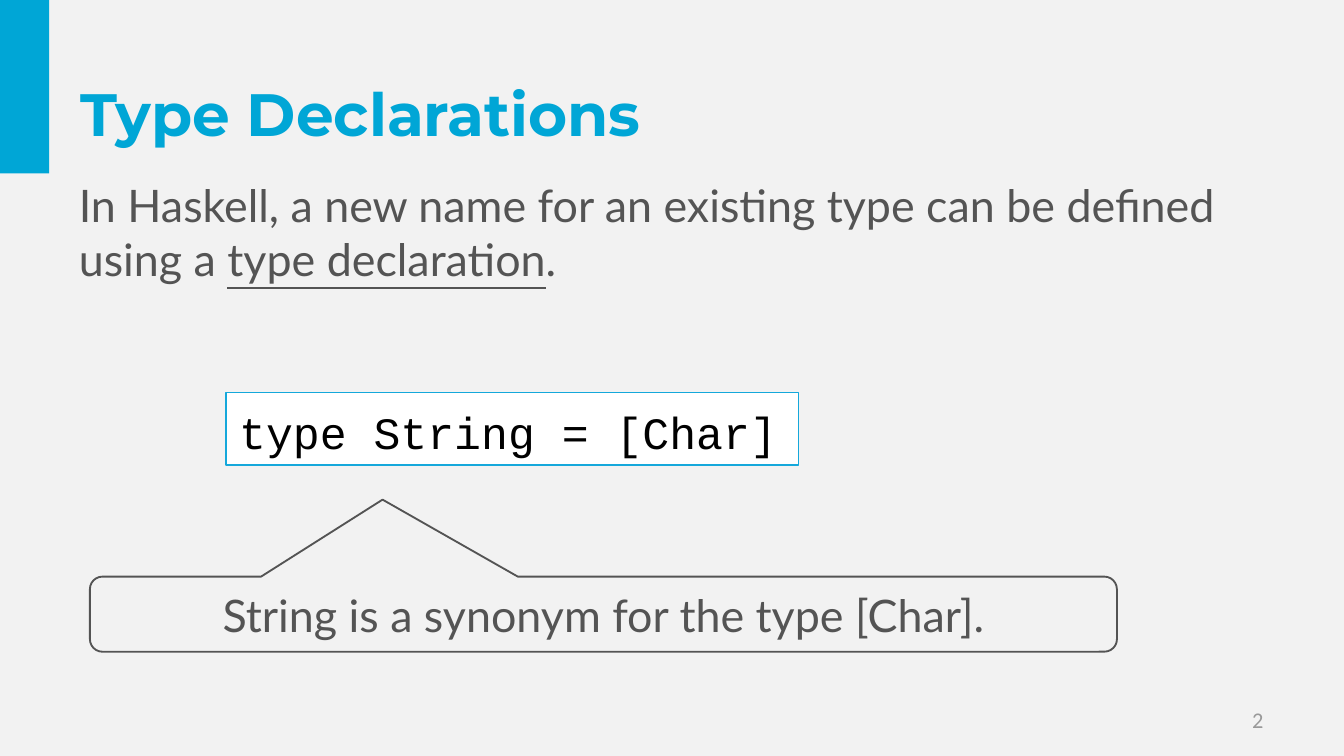
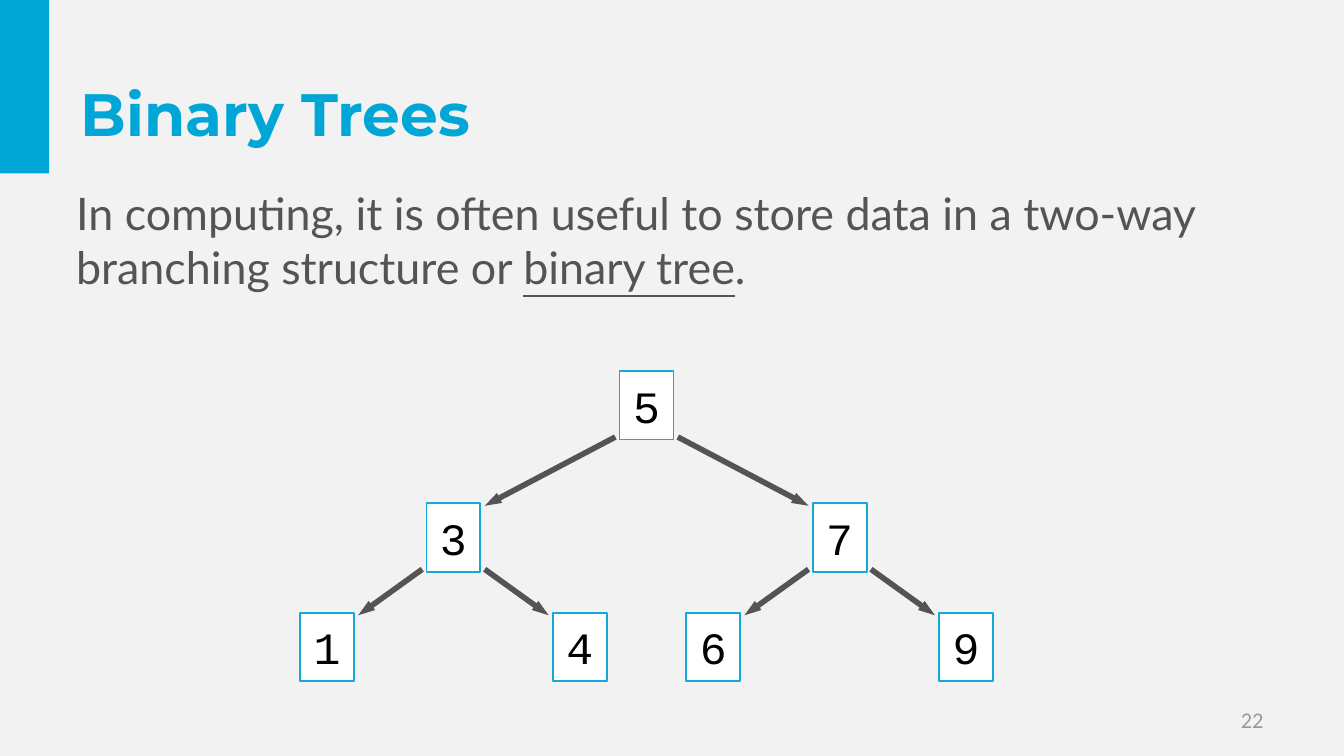
from lxml.etree import SubElement
from pptx import Presentation
from pptx.dml.color import RGBColor
from pptx.enum.shapes import MSO_CONNECTOR, MSO_SHAPE
from pptx.enum.text import MSO_ANCHOR, MSO_AUTO_SIZE, PP_ALIGN
from pptx.oxml.ns import qn
from pptx.util import Cm, Pt

CYAN, BORDER, GREY, PALE = "00A6D6", "15A8DB", "545454", "999999"
BACK, WHITE, BLACK = "F2F2F2", "FFFFFF", "000000"
NODE_W, NODE_H = 1.02, 1.3
LEVEL_TOPS = (7.01, 9.51, 11.58)
CHILD_OFFSETS = (3.65, 2.39)


def rgb(color):
    """Turn a hex string into a colour."""
    return RGBColor.from_string(color)


class Deck:
    """Hold the style and the current slide."""

    def __init__(self):
        """Start an empty deck with the shared background."""
        self.prs = Presentation()
        self.prs.slide_width, self.prs.slide_height = Cm(25.4), Cm(14.29)
        fill = self.prs.slide_master.background.fill
        fill.solid()
        fill.fore_color.rgb = rgb(BACK)
        self.s = None

    def slide(self, title, number):
        """Add a slide with its band, page number and title."""
        self.s = self.prs.slides.add_slide(self.prs.slide_layouts[6])
        self.shape(MSO_SHAPE.RECTANGLE, 0, 0, 0.93, 3.28, fill=CYAN)
        self.text(18.21, 13.23, 5.92, 0.76, [str(number)], 12, "Calibri", PALE, PP_ALIGN.RIGHT)
        p = self.text(1.27, 0.58, 22.86, 3.1, [title], 32, "Montserrat", CYAN)
        p.runs[0].font.bold = True

    def label(self, sp, parts, size, font, color, align=PP_ALIGN.LEFT, wrap=True):
        """Fill a shape with one paragraph, underlining every second part."""
        tf = sp.text_frame
        tf.word_wrap = wrap
        tf.vertical_anchor = MSO_ANCHOR.MIDDLE
        p = tf.paragraphs[0]
        p.alignment = align
        for i, part in enumerate(parts):
            r = p.add_run()
            r.text = part
            r.font.size, r.font.name = Pt(size), font
            r.font.color.rgb = rgb(color)
            if i % 2:
                r.font.underline = True
        return p

    def text(self, x, y, w, h, parts, size, font, color, align=PP_ALIGN.LEFT):
        """Add a text box."""
        sp = self.s.shapes.add_textbox(Cm(x), Cm(y), Cm(w), Cm(h))
        return self.label(sp, parts, size, font, color, align)

    def body(self, x, y, parts):
        """Add the introductory sentence."""
        self.text(x, y, 22.8, 2.31, parts, 24, "Lato", GREY)

    def shape(self, kind, x, y, w, h, fill=None, line=None, width=1):
        """Add a preset shape."""
        sp = self.s.shapes.add_shape(kind, Cm(x), Cm(y), Cm(w), Cm(h))
        sp.shadow.inherit = False
        if fill:
            sp.fill.solid()
            sp.fill.fore_color.rgb = rgb(fill)
        else:
            sp.fill.background()
        if line:
            sp.line.color.rgb = rgb(line)
            sp.line.width = Pt(width)
        else:
            sp.line.fill.background()
        return sp

    def code(self, x, y, w, h, code, width=1, align=PP_ALIGN.CENTER):
        """Add a white box of code."""
        sp = self.shape(MSO_SHAPE.RECTANGLE, x, y, w, h, WHITE, BORDER, width)
        p = self.label(sp, [code], 24, "Courier New", BLACK, align, wrap=False)
        sp.text_frame.auto_size = MSO_AUTO_SIZE.SHAPE_TO_FIT_TEXT
        return p

    def callout(self, x, y, w, h, text, adjustments):
        """Add a rounded callout."""
        sp = self.shape(MSO_SHAPE.ROUNDED_RECTANGULAR_CALLOUT, x, y, w, h, line=GREY)
        for i, value in enumerate(adjustments):
            sp.adjustments[i] = value
        self.label(sp, [text], 24, "Lato", GREY, PP_ALIGN.CENTER)
        sp.text_frame.auto_size = MSO_AUTO_SIZE.SHAPE_TO_FIT_TEXT

    def arrow(self, x1, y1, x2, y2):
        """Add a thick arrow."""
        c = self.s.shapes.add_connector(MSO_CONNECTOR.STRAIGHT, Cm(x1), Cm(y1), Cm(x2), Cm(y2))
        c.line.color.rgb = rgb(GREY)
        c.line.width = Pt(3)
        spPr = c._element.spPr
        SubElement(spPr.find(qn("a:ln")), qn("a:tailEnd"), type="triangle", w="sm", len="med")
        SubElement(spPr, qn("a:effectLst"))

    def tree(self, node, x, level=0):
        """Draw a node and, below it, its two subtrees."""
        value, *children = node
        y = LEVEL_TOPS[level]
        self.code(x, y, NODE_W, NODE_H, value)
        for side, child in zip((-1, 1), children):
            child_x = x + side * CHILD_OFFSETS[level]
            self.tree(child, child_x, level + 1)
            reach = side * (NODE_W / 2 + 0.08)
            self.arrow(x + NODE_W / 2 + reach, y + NODE_H - 0.05,
                       child_x + NODE_W / 2 - reach, LEVEL_TOPS[level + 1] + 0.05)


def main():
    """Build both slides."""
    deck = Deck()

    deck.slide("Type Declarations", 2)
    deck.body(1.24, 3.23, ["In Haskell, a new name for an existing type can be defined using a ",
                           "type declaration", "."])
    p = deck.code(4.27, 7.42, 10.82, 1.37, "type String = [Char]", 0.75, PP_ALIGN.LEFT)
    p.line_spacing = 1.1
    deck.callout(1.7, 10.9, 19.41, 1.42, "String is a synonym for the type [Char].",
                 (-0.215, -1.525, 0.167))

    deck.slide("Binary Trees", 22)
    deck.body(1.19, 3.38, ["In computing, it is often useful to store data in a two-way "
                           "branching structure or ", "binary tree", "."])
    deck.tree(("5", ("3", ("1",), ("4",)), ("7", ("6",), ("9",))), 11.71)

    deck.prs.save("out.pptx")


if __name__ == "__main__":
    main()
